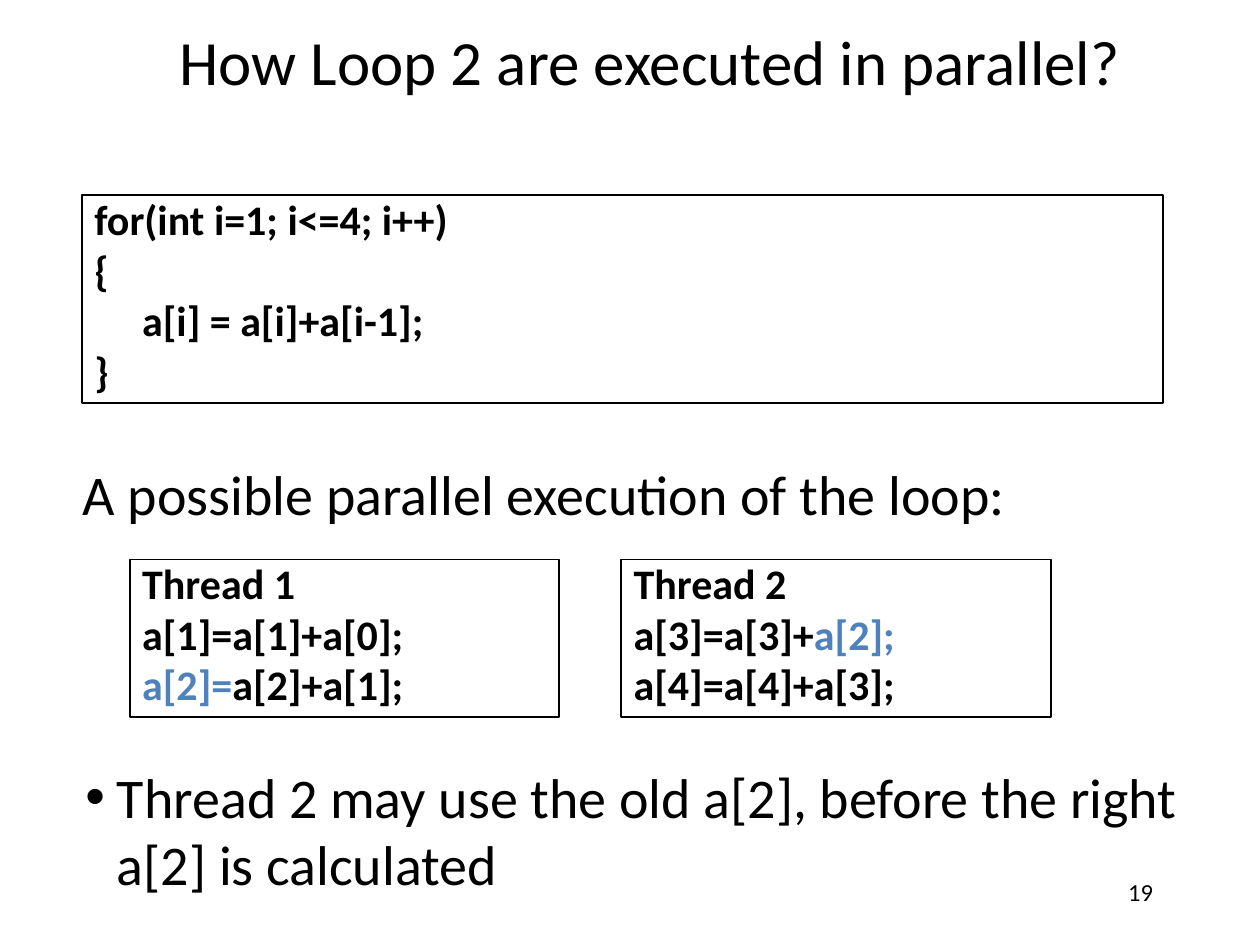
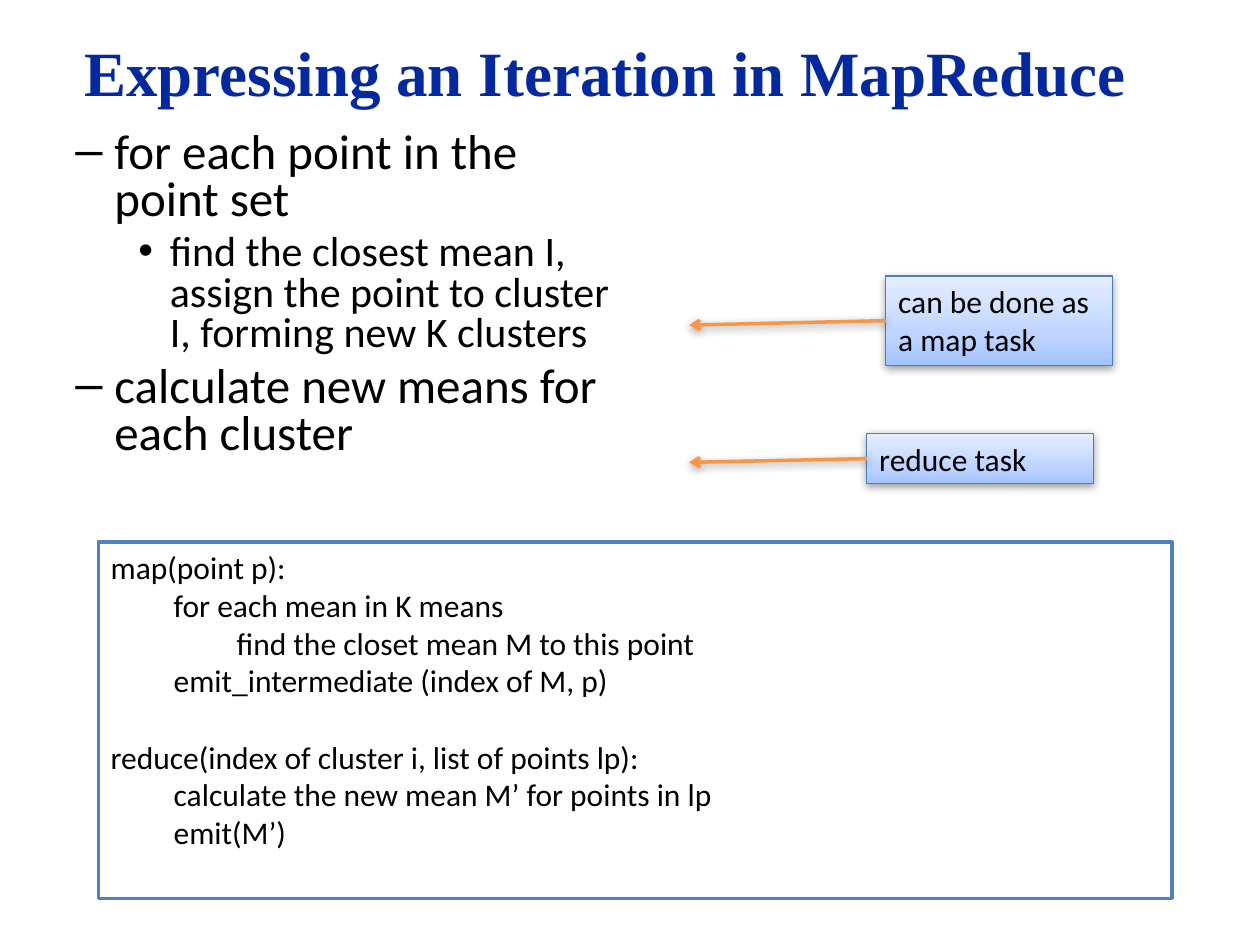
"""Build two slides on parallel loops and on an iteration in MapReduce."""
from lxml import etree
from pptx import Presentation, util as u
from pptx.dml.color import RGBColor
from pptx.enum import shapes, text
from pptx.oxml import parse_xml
from pptx.oxml.ns import nsdecls, qn

BLACK = RGBColor(0x00, 0x00, 0x00)
WHITE = RGBColor(0xFF, 0xFF, 0xFF)
BLUE = RGBColor(0x4F, 0x81, 0xBD)
NAVY = RGBColor(0x04, 0x28, 0x9D)
EDGE = RGBColor(0x4A, 0x7E, 0xBB)
ORANGE = RGBColor(0xF7, 0x96, 0x46)

SHADOW = f"""<a:effectLst {nsdecls('a')}><a:outerShdw blurRad="63500" dist="20000" dir="5400000"
 rotWithShape="0"><a:srgbClr val="000000"><a:alpha val="38000"/></a:srgbClr></a:outerShdw></a:effectLst>"""
GRADIENT = f"""<a:gradFill {nsdecls('a')} rotWithShape="1"><a:gsLst>
<a:gs pos="0"><a:srgbClr val="A3C4FF"/></a:gs><a:gs pos="35000"><a:srgbClr val="BFD5FF"/></a:gs>
<a:gs pos="100000"><a:srgbClr val="E5EEFF"/></a:gs></a:gsLst><a:lin ang="16200000" scaled="1"/></a:gradFill>"""

TITLE = {"size": u.Pt(36), "name": "Calibri"}
BODY = {"size": u.Pt(32), "name": "Calibri"}
CODE = {"size": u.Pt(24), "name": "Calibri", "bold": True}
NOTE = {"size": u.Pt(18), "name": "Calibri"}
CENTRED = {"alignment": text.PP_ALIGN.CENTER}


def write(box, lines, font, anchor=text.MSO_ANCHOR.TOP):
    """Write lines of (spans, paragraph format, left margin, hanging indent, bullet)."""
    frame = box.text_frame
    frame.word_wrap = True
    frame.vertical_anchor = anchor
    for number, (spans, layout, margin, hanging, bullet) in enumerate(lines):
        para = frame.paragraphs[0] if number == 0 else frame.add_paragraph()
        for key, value in ({"alignment": text.PP_ALIGN.LEFT} | layout).items():
            setattr(para, key, value)
        properties = para._p.get_or_add_pPr()
        properties.set("marL", str(u.Inches(margin)))
        properties.set("indent", str(-u.Inches(hanging)))
        if bullet:
            etree.SubElement(properties, qn("a:buFont")).set("typeface", "Arial")
            etree.SubElement(properties, qn("a:buChar")).set("char", bullet)
        for words, changes in spans:
            span = para.add_run()
            span.text = words
            look = {"color": BLACK} | font | changes
            span.font.color.rgb = look.pop("color")
            for key, value in look.items():
                setattr(span.font, key, value)


def rectangle(page, place, line, width):
    """Add an unfilled, outlined rectangle."""
    box = page.shapes.add_shape(shapes.MSO_SHAPE.RECTANGLE, *map(u.Inches, place))
    box.shadow.inherit = False
    box.fill.background()
    box.line.color.rgb = line
    box.line.width = u.Pt(width)
    return box


deck = Presentation()
deck.slide_width, deck.slide_height = u.Inches(10), u.Inches(7.5)
loop_page, map_page = [deck.slides.add_slide(deck.slide_layouts[6]) for _ in range(2)]

MIDDLE = text.MSO_ANCHOR.MIDDLE
TOP = text.MSO_ANCHOR.TOP
LABELS = [
    (loop_page, (7.17, 6.83, 2.08, 0.5), "19", NOTE | {"size": u.Pt(14)}, MIDDLE,
     {"alignment": text.PP_ALIGN.RIGHT}, 0, 0, None),
    (loop_page, (0.56, 0.16, 9.19, 0.64), "How Loop 2 are executed in parallel?", TITLE, MIDDLE,
     CENTRED, 0, 0, None),
    (loop_page, (0.56, 3.6, 8.75, 0.59), "A possible parallel execution of the loop:", BODY, TOP,
     {}, 0.38, 0.38, None),
    (loop_page, (0.33, 6, 9.5, 1.18),
     "Thread 2 may use the old a[2], before the right a[2] is calculated", BODY, TOP,
     {}, 0.5, 0.25, "•"),
    (map_page, (0, 0.34, 9.61, 0.46), "Expressing an Iteration in MapReduce",
     TITLE | {"name": "Times New Roman", "bold": True, "color": NAVY}, MIDDLE, CENTRED, 0, 0, None),
]
for page, place, words, font, anchor, layout, margin, hanging, bullet in LABELS:
    label = page.shapes.add_textbox(*map(u.Inches, place))
    write(label, [([(words, {})], layout, margin, hanging, bullet)], font, anchor)

ACCENT = {"color": BLUE}
CODE_BOXES = [
    ((0.65, 1.55, 8.58, 1.65),
     [([("for(int i=1; i<=4; i++)", {})], 0), ([("{", {})], 0),
      ([("a[i] = a[i]+a[i-1];", {})], 0.38), ([("}", {})], 0)]),
    ((1.03, 4.44, 3.41, 1.25),
     [([("Thread 1", {})], 0), ([("a[1]=a[1]+a[0];", {})], 0),
      ([("a[2]=", ACCENT), ("a[2]+a[1];", {})], 0)]),
    ((4.93, 4.44, 3.41, 1.25),
     [([("Thread 2", {})], 0), ([("a[3]=a[3]+", {}), ("a[2];", ACCENT)], 0),
      ([("a[4]=a[4]+a[3];", {})], 0)]),
]
for place, code in CODE_BOXES:
    box = rectangle(loop_page, place, BLACK, 1)
    lines = [(spans, {"line_spacing": 1.0 if number else 0.85}, margin, 0, None)
             for number, (spans, margin) in enumerate(code)]
    write(box, lines, CODE)

STEPS = [
    ("for each point in the point set", 28, 0, 0.81, 0.31, "–"),
    ("find the closest mean I, assign the point to cluster I, forming new K clusters",
     24, 4.8, 1.25, 0.25, "•"),
    ("calculate new means for each cluster", 28, 5.6, 0.81, 0.31, "–"),
]
steps_box = map_page.shapes.add_textbox(*map(u.Inches, (0, 1, 5.06, 3.05)))
write(steps_box,
      [([(words, {"size": u.Pt(size)})], {"line_spacing": 0.8, "space_before": u.Pt(gap)},
        margin, hanging, bullet) for words, size, gap, margin, hanging, bullet in STEPS], BODY)

CALLOUTS = [
    ("can be done as a map task", (7.03, 2.19, 1.8, 0.71), 2.58),
    ("reduce task", (6.88, 3.44, 1.8, 0.4), 3.67),
]
for words, place, arrow_end in CALLOUTS:
    callout = rectangle(map_page, place, EDGE, 0.75)
    properties = callout._element.spPr
    properties.replace(properties.find(qn("a:noFill")), parse_xml(GRADIENT))
    properties.replace(properties.find(qn("a:effectLst")), parse_xml(SHADOW))
    write(callout, [([(words, {})], {}, 0, 0, None)], NOTE)

    left, top, _, height = place
    arrow = map_page.shapes.add_connector(
        shapes.MSO_CONNECTOR.STRAIGHT,
        *map(u.Inches, (left, top + height / 2, 5.47, arrow_end)))
    arrow.begin_connect(callout, 1)
    arrow.line.color.rgb = ORANGE
    arrow.line.width = u.Pt(2)
    etree.SubElement(arrow.line._get_or_add_ln(), qn("a:tailEnd")).set("type", "arrow")
    arrow._element.spPr.append(parse_xml(SHADOW))

PSEUDOCODE = [
    ("map(point p):", 0, 0),
    ("for each mean in K means", 1, 0),
    ("find the closet mean M to this point", 2, 0),
    ("emit_intermediate (index of M, p)", 1, 0),
    ("reduce(index of cluster i, list of points lp):", 0, 22),
    ("calculate the new mean M’ for points in lp", 1, 0),
    ("emit(M’)", 1, 0),
]
pseudocode_box = rectangle(map_page, (0.78, 4.3, 8.52, 2.83), BLUE, 2)
pseudocode_box.fill.solid()
pseudocode_box.fill.fore_color.rgb = WHITE
write(pseudocode_box,
      [([(words, {})], {"space_before": u.Pt(gap)}, 0.5 * level, 0, None)
       for words, level, gap in PSEUDOCODE], NOTE)

deck.save("out.pptx")
